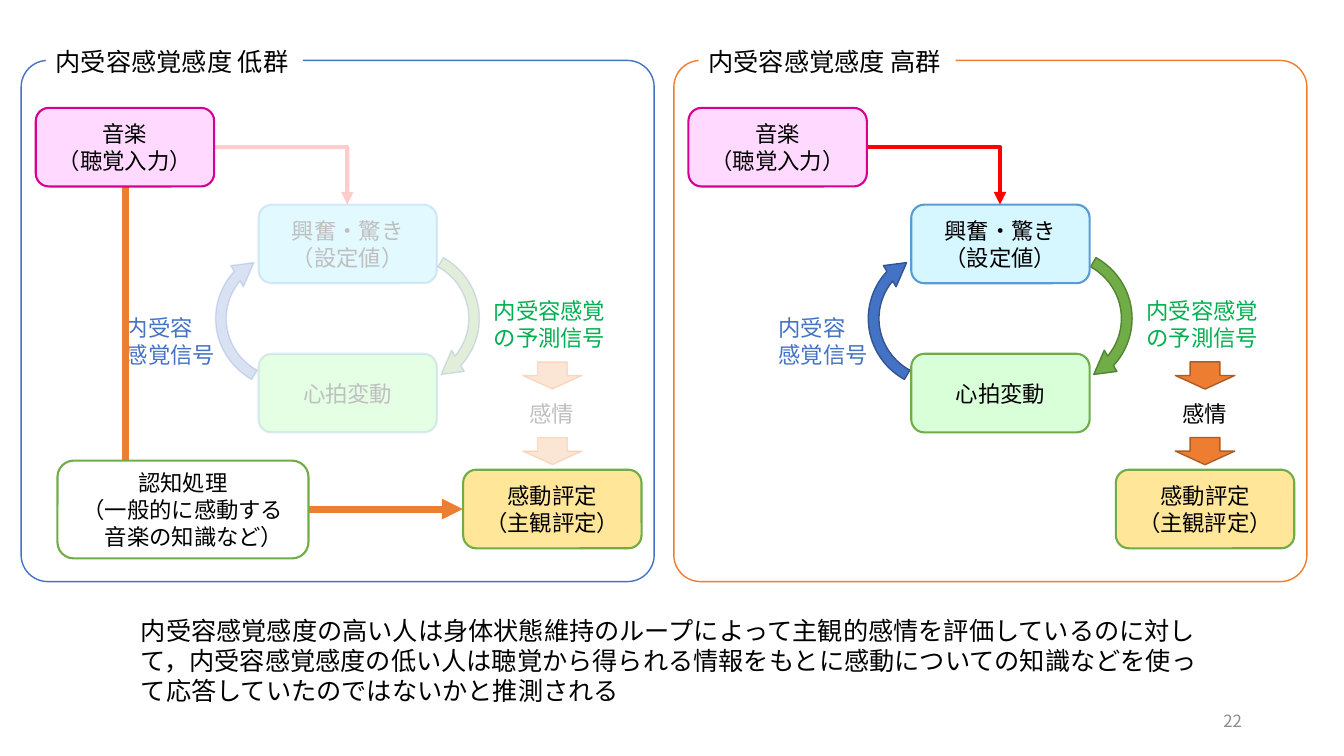
import pptx
import pptx.util
import pptx.dml.color
import pptx.enum.shapes
import pptx.enum.text
import pptx.oxml.ns
from lxml import etree

RGB = pptx.dml.color.RGBColor
KIND = pptx.enum.shapes.MSO_SHAPE
ALIGN = pptx.enum.text.PP_ALIGN
ANCHOR = pptx.enum.text.MSO_ANCHOR
FIT = pptx.enum.text.MSO_AUTO_SIZE
qn = pptx.oxml.ns.qn

FONT = "Noto Sans CJK JP"
BLACK = RGB(0x00, 0x00, 0x00)
WHITE = RGB(0xFF, 0xFF, 0xFF)
SILVER = RGB(0xBF, 0xBF, 0xBF)
GREY = RGB(0x8C, 0x8C, 0x8C)
BLUE = RGB(0x44, 0x72, 0xC4)
NAVY = RGB(0x32, 0x54, 0x91)
SKY = RGB(0x5B, 0x9B, 0xD5)
ICE = RGB(0xD6, 0xF7, 0xFF)
GREEN = RGB(0x70, 0xAD, 0x47)
FOREST = RGB(0x54, 0x82, 0x35)
JADE = RGB(0x00, 0xB0, 0x50)
MINT = RGB(0xD9, 0xFF, 0xD9)
ORANGE = RGB(0xED, 0x7D, 0x31)
RUST = RGB(0xAF, 0x5C, 0x24)
AMBER = RGB(0xFF, 0xE6, 0x99)
RED = RGB(0xFF, 0x00, 0x00)
PINK = RGB(0xFF, 0xD9, 0xFF)
ROSE = RGB(0xD6, 0x00, 0x93)

COLS, ROWS = 133.33, 75
LEFT, STEP = 2.1, 64.75
NODE = (17.7, 7.8)
TURN = (0.069, 11.423, 186.121, 126.145, 0.08)


def grid(*cells):
    return [pptx.util.Inches(cell / 10) for cell in cells]


def fade(root, share):
    if share < 100:
        color = root.find(qn("a:solidFill")).find(qn("a:srgbClr"))
        etree.SubElement(color, qn("a:alpha")).set("val", str(share * 1000))


def stroke(item, color, width, share=100):
    item.line.color.rgb = color
    item.line.width = pptx.util.Pt(width)
    fade(item._element.spPr.find(qn("a:ln")), share)


def write(frame, lines, size, color, align):
    for row, line in enumerate(lines):
        para = frame.paragraphs[0] if row == 0 else frame.add_paragraph()
        para.alignment = align
        run = para.add_run()
        run.text = line
        run.font.size = pptx.util.Pt(size)
        run.font.color.rgb = color
        run.font.name = FONT
        etree.SubElement(run.font._element, qn("a:ea")).set("typeface", FONT)


def draw(slide, kind, box, fill, edge, width=1, shares=(100, 100)):
    shape = slide.shapes.add_shape(kind, *grid(*box))
    shape.shadow.inherit = False
    if fill is None:
        shape.fill.background()
    else:
        shape.fill.solid()
        shape.fill.fore_color.rgb = fill
        fade(shape._element.spPr, shares[0])
    stroke(shape, edge, width, shares[1])
    return shape


def node(slide, box, lines, fill, edge, color=BLACK, shares=(100, 100)):
    shape = draw(slide, KIND.ROUNDED_RECTANGLE, box, fill, edge, 1.5, shares)
    frame = shape.text_frame
    frame.word_wrap = True
    frame.vertical_anchor = ANCHOR.MIDDLE
    write(frame, lines, 16, color, ALIGN.CENTER)


def label(slide, box, lines, color, size=16, wrap=False, align=ALIGN.LEFT):
    shape = slide.shapes.add_textbox(*grid(*box))
    frame = shape.text_frame
    frame.word_wrap = wrap
    frame.auto_size = FIT.SHAPE_TO_FIT_TEXT
    write(frame, lines, size, color, align)
    return shape


def elbow(slide, ends, color, width, share=100, turn=0):
    bent = pptx.enum.shapes.MSO_CONNECTOR.ELBOW
    line = slide.shapes.add_connector(bent, *grid(*ends))
    stroke(line, color, width, share)
    props = line._element.spPr
    props.find(qn("a:prstGeom")).set("prst", "bentConnector2")
    if turn:
        props.find(qn("a:xfrm")).set("rot", str(turn * 60000))
    tail = etree.SubElement(props.find(qn("a:ln")), qn("a:tailEnd"))
    tail.set("type", "triangle")
    etree.SubElement(props, qn("a:effectLst"))


def arc(slide, box, turn, fill, edge, shares):
    shape = draw(slide, KIND.CIRCULAR_ARROW, box, fill, edge, 1, shares)
    for spot, value in enumerate(TURN):
        shape.adjustments[spot] = value
    shape.rotation = turn


def panel(slide, left, title, edge, faint):
    ink = SILVER if faint else BLACK
    soft = (70, 20) if faint else (100, 100)
    pale = (20, 20) if faint else (100, 100)
    node(slide, (left + 23.55, 35.1, *NODE), ["心拍変動"], MINT,
         SKY if faint else GREEN, ink, soft)
    arc(slide, (left + 30.7, 23.8, 15.3, 15.6), 90, GREEN,
        BLUE if faint else FOREST, pale)
    arc(slide, (left + 18.75, 23.8, 15.3, 15.6), 270, BLUE,
        BLUE if faint else NAVY, pale)
    label(slide, (left + 9.4, 30.7, 11, 6.1), ["内受容", "感覚信号"], BLUE)
    elbow(slide, (left + 19.15, 14.6, left + 32.35, 20.3), RED, 3, pale[1])
    label(slide, (left + 45.9, 29, 13.7, 6.4),
          ["内受容感覚", "の予測信号"], JADE, wrap=True)
    node(slide, (left + 23.55, 20.3, *NODE), ["興奮・驚き（設定値）"],
         ICE, SKY, ink, soft)
    for row in (35.9, 43.4):
        draw(slide, KIND.DOWN_ARROW, (left + 49.75, row, 5.9, 2.7), ORANGE,
             ORANGE if faint else RUST, 1, pale)
    label(slide, (left + 49.45, 39.2, 6.5, 3.7), ["感情"], ink)
    node(slide, (left + 43.85, 46.6, *NODE),
         ["感動評定", "（主観評定）"], AMBER, GREEN)
    frame = draw(slide, KIND.ROUNDED_RECTANGLE, (left, 6, 62.8, 51.7), None, edge)
    frame.adjustments[0] = 0.051
    head = label(slide, (left + 2.45, 4.1, 25.5, 4), [title], BLACK, 18)
    head.fill.solid()
    head.fill.fore_color.rgb = WHITE
    if faint:
        elbow(slide, (45.2, 17.7, 13.1, 51.2), ORANGE, 5, turn=270)
    node(slide, (left + 1.45, 10.7, *NODE),
         ["音楽", "（聴覚入力）"], PINK, ROSE)


def main():
    deck = pptx.Presentation()
    deck.slide_width, deck.slide_height = grid(COLS, ROWS)
    slide = deck.slides.add_slide(deck.slide_layouts[6])
    panel(slide, LEFT + STEP, "内受容感覚感度 高群", ORANGE, False)
    panel(slide, LEFT, "内受容感覚感度 低群", BLUE, True)
    node(slide, (5.7, 45.7, 24.9, 9.7),
         ["認知処理", "（一般的に感動する", "　音楽の知識など）"], WHITE, GREEN)
    label(slide, (13, 60.5, 107.2, 10.1),
          ["内受容感覚感度の高い人は身体状態維持のループによって主観的感情を"
           "評価しているのに対して，内受容感覚感度の低い人は聴覚から得られる"
           "情報をもとに感動についての知識などを使って応答していたのでは"
           "ないかと推測される"], BLACK, 18, True)
    page = label(slide, (94.2, 69.5, 30, 4), ["22"], GREY, 12, True, ALIGN.RIGHT)
    page.text_frame.auto_size = FIT.NONE
    page.text_frame.vertical_anchor = ANCHOR.MIDDLE
    deck.save("out.pptx")


if __name__ == "__main__":
    main()
